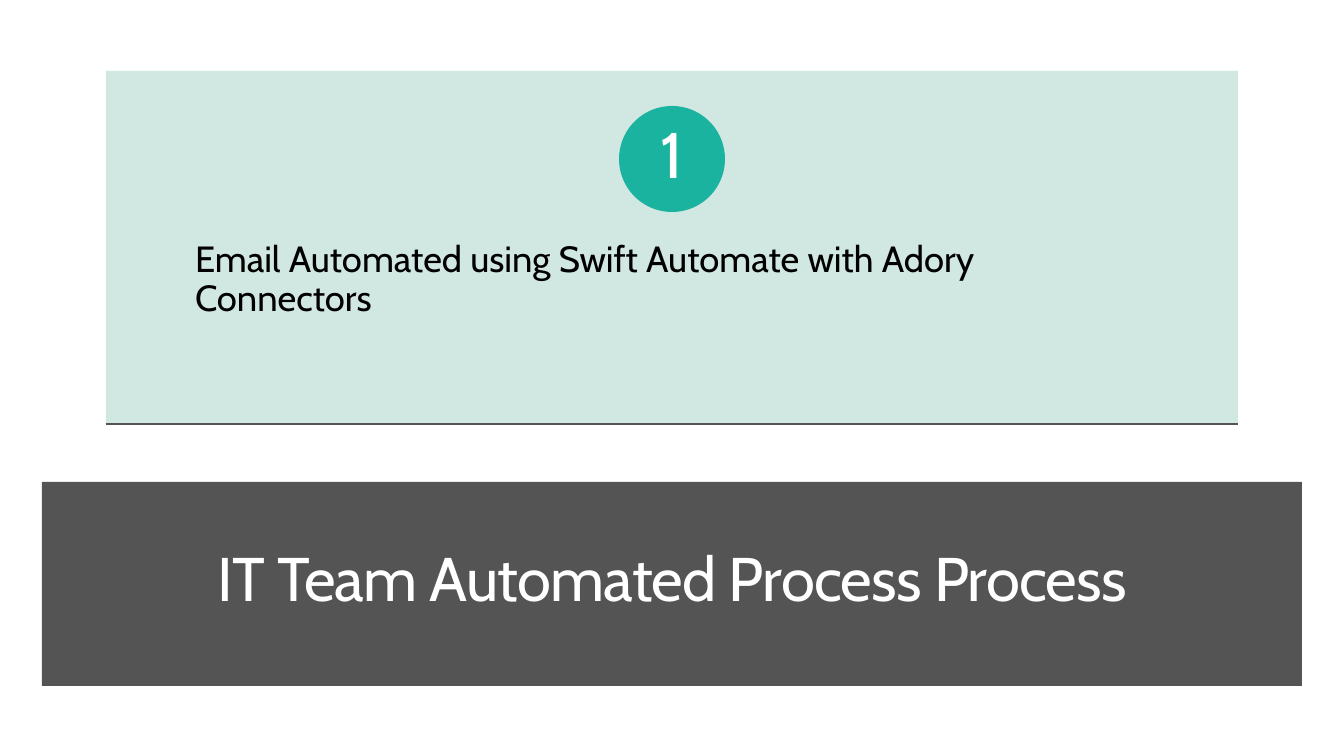
from lxml import etree
from pptx import Presentation
from pptx.dml.color import RGBColor
from pptx.enum.shapes import MSO_CONNECTOR, MSO_SHAPE
from pptx.enum.text import MSO_ANCHOR, PP_ALIGN
from pptx.oxml.ns import qn
from pptx.util import Pt

RECT, OVAL = MSO_SHAPE.RECTANGLE, MSO_SHAPE.OVAL
TOP, MIDDLE = MSO_ANCHOR.TOP, MSO_ANCHOR.MIDDLE
LEFT, CENTER = PP_ALIGN.LEFT, PP_ALIGN.CENTER
WHITE = RGBColor(0xFF, 0xFF, 0xFF)
BLACK = RGBColor(0x00, 0x00, 0x00)
GRAY = RGBColor(0x54, 0x54, 0x54)
MINT = RGBColor(0xCD, 0xE5, 0xDF)
TEAL = RGBColor(0x1A, 0xB3, 0x9F)
SCALE = 914400 / 100.8


def px(*sizes):
    """Turn pixel lengths into EMU."""
    return [round(size * SCALE) for size in sizes]


def add_label(box, text, size, color, align, anchor, pad):
    label = slide.shapes.add_textbox(*px(*box))
    frame = label.text_frame
    frame.text = text
    frame.word_wrap = True
    frame.vertical_anchor = anchor
    side, edge = px(*pad)
    frame.margin_left = frame.margin_right = side
    frame.margin_top = frame.margin_bottom = edge
    para = frame.paragraphs[0]
    para.alignment = align
    para.line_spacing = 0.9
    font = para.runs[0].font
    font.name = "Cabin"
    font.size = Pt(size)
    font.color.rgb = color
    return para.runs[0]


deck = Presentation()
deck.slide_width, deck.slide_height = px(1344, 756)
slide = deck.slides.add_slide(deck.slide_layouts[6])

# Title bar, step panel and number badge
for kind, box, color, alpha in [
    (RECT, (42, 482, 1260, 204), GRAY, None),
    (RECT, (106, 71, 1132, 353), MINT, 90),
    (OVAL, (619, 106, 106, 106), TEAL, None),
]:
    shape = slide.shapes.add_shape(kind, *px(*box))
    shape.shadow.inherit = False
    shape.fill.solid()
    shape.fill.fore_color.rgb = color
    shape.line.fill.background()
    if alpha:
        tone = shape.fill._xPr.find(qn("a:solidFill"))[0]
        etree.SubElement(tone, qn("a:alpha")).set("val", str(alpha * 1000))

# Rule under the panel
rule = slide.shapes.add_connector(MSO_CONNECTOR.STRAIGHT, *px(106, 424, 1238, 424))
rule.line.color.rgb = GRAY
rule.line.width = Pt(0.85)
etree.SubElement(rule._element.spPr, qn("a:effectLst"))

title = add_label((61, 507, 1222, 150), "IT Team Automated Process Process",
                  44, WHITE, CENTER, MIDDLE, (10, 5))
title.font._element.set("spc", "-60")
add_label((106, 205, 1132, 212),
          "Email Automated using Swift Automate with Adory Connectors",
          26, BLACK, LEFT, TOP, (89, 36))
add_label((635, 121, 74, 74), "1", 46, WHITE, CENTER, MIDDLE, (8, 1))

deck.save("out.pptx")
